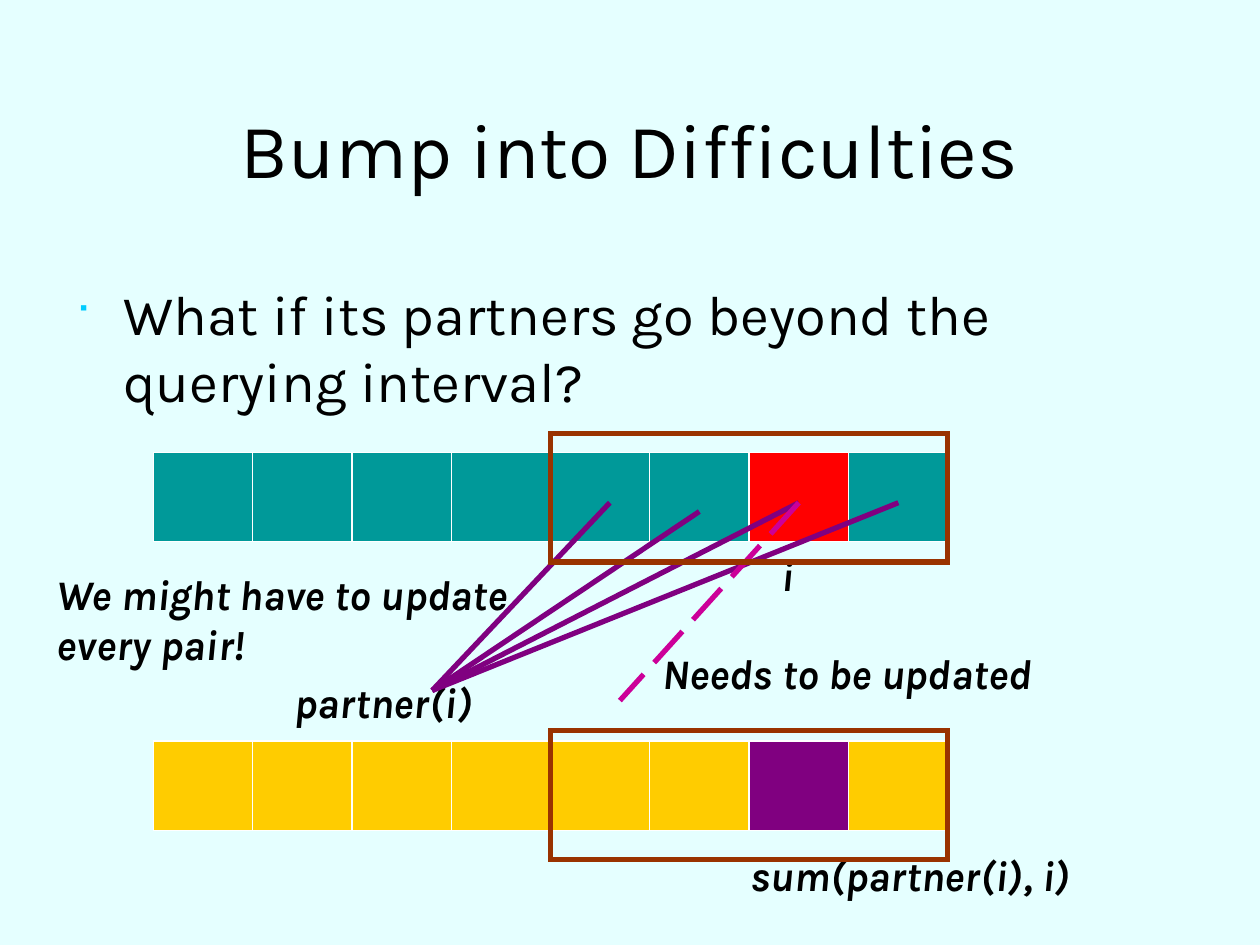
from typing import NamedTuple

from lxml import etree
from pptx import Presentation
from pptx.dml.color import RGBColor
from pptx.enum import dml, shapes, text
from pptx.oxml.ns import qn
from pptx.util import Inches, Pt

COLORS = {
    "background": "E5FFFF",
    "text": "000000",
    "bullet": "00CCFF",
    "divider": "FFFFFF",
    "array": "009999",
    "queried": "FF0000",
    "sums": "FFCC00",
    "changed": "800080",
    "partner": "800080",
    "update": "CC0099",
    "interval": "993300",
}
CELL_COUNT = 8
MARKED_CELL = 6
ROW_LEFT, ROW_WIDTH, ROW_HEIGHT = 1.22, 6.3, 0.71
CELL_WIDTH = ROW_WIDTH / CELL_COUNT
STRIP_LEFT = 1.45
INTERVAL_START = 4
INTERVAL_HEIGHT = 1.02


class Row(NamedTuple):
    top: float
    color: str
    marked_color: str
    interval_top: float


class Label(NamedTuple):
    words: str
    left: float
    top: float
    width: float
    height: float = 0.5
    size: int = 24
    emphasis: bool = True
    align: text.PP_ALIGN = text.PP_ALIGN.LEFT
    anchor: text.MSO_ANCHOR = text.MSO_ANCHOR.TOP
    bullet: bool = False


class Link(NamedTuple):
    start: tuple[float, float]
    end: tuple[float, float]
    color: str = "partner"
    dashed: bool = False


ROWS = [
    Row(3.59, "array", "queried", 3.44),
    Row(5.88, "sums", "changed", 5.8),
]
LABELS = [
    Label("Bump into Difficulties", 0.5, 0.42, 9, 1.5, 44, False,
          text.PP_ALIGN.CENTER, text.MSO_ANCHOR.MIDDLE),
    Label("What if its partners go beyond the querying interval?",
          0.5, 2.17, 9, 4.5, 32, False, bullet=True),
    Label("i", 6.1, 4.31, 1.18),
    Label("partner(i)", 2.24, 5.32, 1.89),
    Label("sum(partner(i), i)", 5.86, 6.69, 3.31),
    Label("Needs to be updated", 5.16, 5.09, 3.78),
    Label("We might have to update every pair!", 0.35, 4.46, 3.8, 0.9),
]
PARTNER = (3.43, 5.48)
MARKED_CENTER = (6.34, 3.99)
LINKS = [
    Link(MARKED_CENTER, PARTNER),
    Link((4.84, 3.99), PARTNER),
    Link((5.55, 4.06), PARTNER),
    Link((7.13, 3.99), PARTNER),
    Link(MARKED_CENTER, (4.92, 5.56), "update", True),
]


def rgb(name: str) -> RGBColor:
    return RGBColor.from_string(COLORS[name])


def add_bullet(paragraph) -> None:
    properties = paragraph._p.get_or_add_pPr()
    properties.set("marL", str(Inches(0.38)))
    properties.set("indent", str(-Inches(0.38)))
    color = etree.SubElement(properties, qn("a:buClr"))
    etree.SubElement(color, qn("a:srgbClr"), val=COLORS["bullet"])
    etree.SubElement(properties, qn("a:buSzPct"), val="65000")
    etree.SubElement(properties, qn("a:buFont"), typeface="Wingdings")
    etree.SubElement(properties, qn("a:buChar"), char="■")


def add_label(slide, label: Label) -> None:
    box = slide.shapes.add_textbox(Inches(label.left), Inches(label.top),
                                   Inches(label.width), Inches(label.height))
    frame = box.text_frame
    frame.word_wrap = True
    frame.vertical_anchor = label.anchor
    paragraph = frame.paragraphs[0]
    paragraph.text = label.words
    paragraph.alignment = label.align
    if label.bullet:
        add_bullet(paragraph)
    font = paragraph.font
    font.name, font.size = "Karla", Pt(label.size)
    font.bold = font.italic = label.emphasis
    font.color.rgb = rgb("text")


def add_box(slide, left: float, top: float, width: float, height: float,
            fill: str | None, line: str, weight: float) -> None:
    """Draw a sharp-cornered rectangle, hollow when fill is None."""
    shape = slide.shapes.add_shape(shapes.MSO_SHAPE.RECTANGLE, Inches(left),
                                   Inches(top), Inches(width), Inches(height))
    shape.shadow.inherit = False
    if fill is None:
        shape.fill.background()
    else:
        shape.fill.solid()
        shape.fill.fore_color.rgb = rgb(fill)
    shape.line.color.rgb = rgb(line)
    shape.line.width = Pt(weight)
    etree.SubElement(shape.line._get_or_add_ln(), qn("a:miter"), lim="800000")


def add_cells(slide, row: Row) -> None:
    """Stack ever shorter strips, each leaving one cell uncovered on its right."""
    for index in reversed(range(CELL_COUNT)):
        if index == 0:
            left = ROW_LEFT
        elif index == CELL_COUNT - 1:
            left = ROW_LEFT + CELL_WIDTH
        else:
            left = STRIP_LEFT
        right = ROW_LEFT + (index + 1) * CELL_WIDTH
        add_box(slide, left, row.top, right - left, ROW_HEIGHT,
                row.color, "divider", 0.75)
    add_box(slide, ROW_LEFT + MARKED_CELL * CELL_WIDTH, row.top, CELL_WIDTH,
            ROW_HEIGHT, row.marked_color, "divider", 0.75)


def add_interval(slide, row: Row) -> None:
    """Frame the cells inside the querying interval."""
    add_box(slide, ROW_LEFT + INTERVAL_START * CELL_WIDTH, row.interval_top,
            (CELL_COUNT - INTERVAL_START) * CELL_WIDTH, INTERVAL_HEIGHT,
            None, "interval", 3)


def add_link(slide, link: Link) -> None:
    connector = slide.shapes.add_connector(
        shapes.MSO_CONNECTOR.STRAIGHT,
        *(Inches(value) for value in link.start + link.end))
    connector.line.color.rgb = rgb(link.color)
    connector.line.width = Pt(3)
    if link.dashed:
        connector.line.dash_style = dml.MSO_LINE.LONG_DASH
    etree.SubElement(connector._element.spPr, qn("a:effectLst"))


def main() -> None:
    presentation = Presentation()
    presentation.slide_width, presentation.slide_height = Inches(10), Inches(7.5)
    slide = presentation.slides.add_slide(presentation.slide_layouts[6])
    slide.background.fill.solid()
    slide.background.fill.fore_color.rgb = rgb("background")
    for row in ROWS:
        add_cells(slide, row)
    for label in LABELS:
        add_label(slide, label)
    for link in LINKS:
        add_link(slide, link)
    for row in ROWS:
        add_interval(slide, row)
    presentation.save("out.pptx")


if __name__ == "__main__":
    main()
